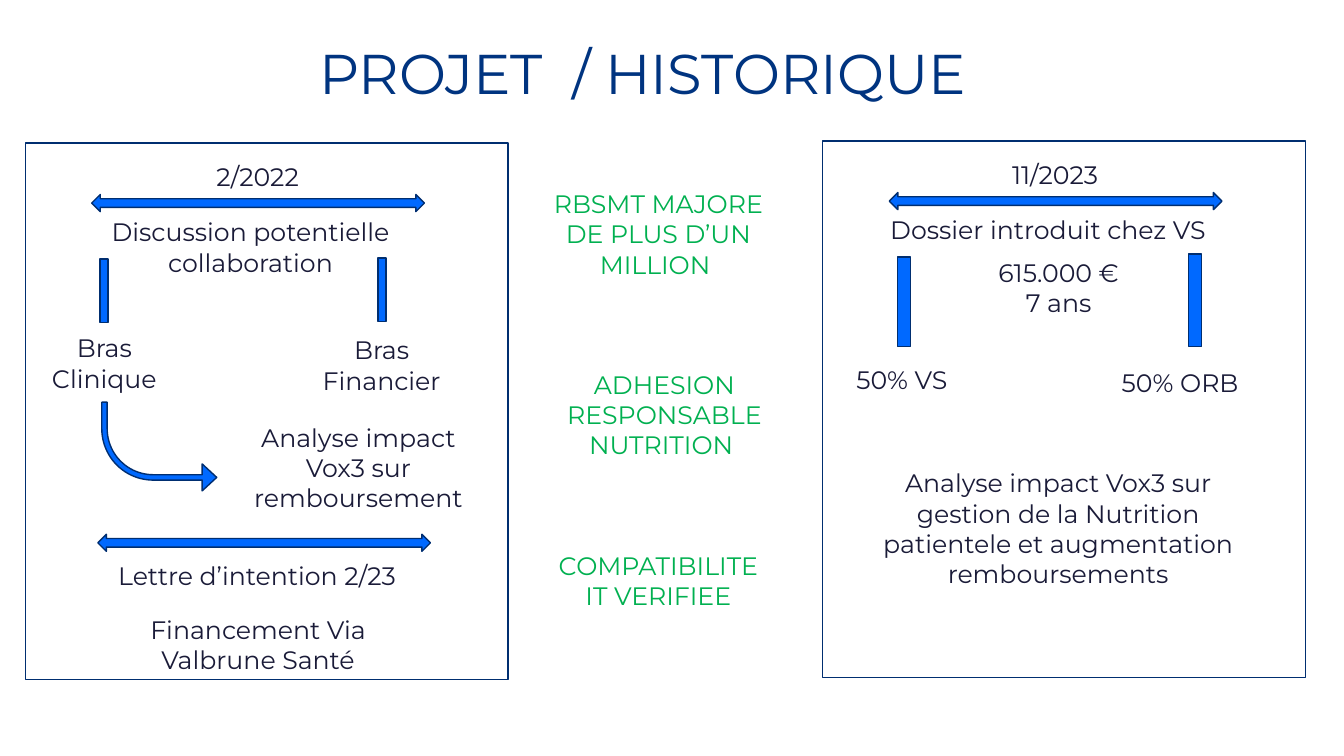
from dataclasses import dataclass

import pptx
import pptx.dml.color
import pptx.enum.shapes
import pptx.enum.text
import pptx.util

Inches = pptx.util.Inches
RGBColor = pptx.dml.color.RGBColor
Preset = pptx.enum.shapes.MSO_SHAPE

WHITE = RGBColor(0xFF, 0xFF, 0xFF)
TITLE_BLUE = RGBColor(0x00, 0x34, 0x80)
OUTLINE_BLUE = RGBColor(0x00, 0x2E, 0x70)
ARROW_BLUE = RGBColor(0x00, 0x69, 0xFF)
INK = RGBColor(0x1A, 0x1B, 0x38)
GREEN = RGBColor(0x00, 0xB0, 0x50)

TITLE_LAYOUT = 5


@dataclass(frozen=True)
class Box:
    left: float
    top: float
    width: float
    height: float

    def lengths(self) -> tuple:
        return tuple(Inches(value) for value in (self.left, self.top, self.width, self.height))


@dataclass(frozen=True)
class Caption:
    text: str
    box: Box
    color: RGBColor = INK


@dataclass(frozen=True)
class Panel:
    left: float
    top: float
    date: str
    event: str
    event_height: float
    bars: tuple[Box, ...]


PANELS = (
    Panel(0.25, 1.42, "2/2022", "Discussion potentielle collaboration", 0.71,
          (Box(0.99, 2.57, 0.08, 0.63), Box(3.75, 2.56, 0.08, 0.63))),
    Panel(8.16, 1.4, "11/2023", "Dossier introduit chez VS", 0.4,
          (Box(8.9, 2.55, 0.13, 0.89), Box(11.79, 2.52, 0.13, 0.92))),
)

CAPTIONS = (
    Caption("Bras Clinique", Box(0.27, 3.25, 1.53, 0.71)),
    Caption("Bras Financier", Box(3.02, 3.27, 1.53, 0.71)),
    Caption("Analyse impact Vox3 sur remboursement", Box(2.31, 4.14, 2.49, 1.01)),
    Caption("Lettre d’intention 2/23", Box(0.96, 5.51, 3.18, 0.4)),
    Caption("Financement Via Valbrune Santé", Box(0.97, 6.04, 3.18, 0.71)),
    Caption("RBSMT MAJORE DE PLUS D’UN MILLION ", Box(5.22, 1.82, 2.62, 1.01), GREEN),
    Caption("ADHESION RESPONSABLE NUTRITION ", Box(5.42, 3.61, 2.34, 1.01), GREEN),
    Caption("COMPATIBILITE IT VERIFIEE", Box(5.4, 5.41, 2.26, 0.71), GREEN),
    Caption("615.000 €\n7 ans", Box(9.66, 2.5, 1.68, 0.71)),
    Caption("50% VS", Box(8.18, 3.57, 1.53, 0.4)),
    Caption("50% ORB", Box(10.94, 3.59, 1.53, 0.4)),
    Caption("Analyse impact Vox3 sur gestion de la Nutrition patientele et augmentation "
            "remboursements", Box(8.65, 4.59, 3.69, 1.31)),
)


def write_text(shape, text: str, *, size: float = 18, color: RGBColor = INK,
               wrap: bool = True) -> None:
    frame = shape.text_frame
    frame.text = text
    frame.word_wrap = wrap
    frame.auto_size = pptx.enum.text.MSO_AUTO_SIZE.SHAPE_TO_FIT_TEXT
    frame.vertical_anchor = pptx.enum.text.MSO_ANCHOR.TOP
    for paragraph in frame.paragraphs:
        paragraph.alignment = pptx.enum.text.PP_ALIGN.CENTER
        for run in paragraph.runs:
            run.font.name = "Montserrat"
            run.font.size = pptx.util.Pt(size)
            run.font.color.rgb = color


def add_caption(slide, caption: Caption) -> None:
    shape = slide.shapes.add_textbox(*caption.box.lengths())
    write_text(shape, caption.text, color=caption.color)


def add_outlined(slide, preset, box: Box, fill: RGBColor = ARROW_BLUE):
    shape = slide.shapes.add_shape(preset, *box.lengths())
    shape.shadow.inherit = False
    shape.fill.solid()
    shape.fill.fore_color.rgb = fill
    shape.line.color.rgb = OUTLINE_BLUE
    shape.line.width = pptx.util.Pt(1)
    return shape


def add_double_arrow(slide, left: float, top: float) -> None:
    add_outlined(slide, Preset.LEFT_RIGHT_ARROW, Box(left, top, 3.3, 0.17))


def add_panel(slide, panel: Panel) -> None:
    left, top = panel.left, panel.top
    add_outlined(slide, Preset.RECTANGLE, Box(left, top, 4.79, 5.32), WHITE)
    add_caption(slide, Caption(panel.date, Box(left + 0.29, top + 0.13, 4.03, 0.4)))
    add_double_arrow(slide, left + 0.66, top + 0.51)
    add_caption(slide, Caption(panel.event,
                               Box(left + 0.22, top + 0.68, 4.03, panel.event_height)))
    for bar in panel.bars:
        add_outlined(slide, Preset.RECTANGLE, bar)


def add_bent_arrow(slide) -> None:
    shape = add_outlined(slide, Preset.BENT_ARROW, Box(1.01, 3.99, 1.14, 0.88))
    for index, value in enumerate((0.061, 0.152, 0.164, 0.58)):
        shape.adjustments[index] = value
    shape._element.spPr.get_or_add_xfrm().set("flipV", "1")


def add_title(slide) -> None:
    title = slide.shapes.title
    title.left, title.top, title.width, title.height = Box(3.02, 0.33, 6.71, 0.77).lengths()
    write_text(title, "PROJET  / HISTORIQUE", size=40, color=TITLE_BLUE, wrap=False)


def main() -> None:
    presentation = pptx.Presentation()
    presentation.slide_width = Inches(13.33)
    presentation.slide_height = Inches(7.5)
    slide = presentation.slides.add_slide(presentation.slide_layouts[TITLE_LAYOUT])
    add_title(slide)
    for panel in PANELS:
        add_panel(slide, panel)
    add_bent_arrow(slide)
    add_double_arrow(slide, 0.97, 5.3)
    for caption in CAPTIONS:
        add_caption(slide, caption)
    presentation.save("out.pptx")


if __name__ == "__main__":
    main()
